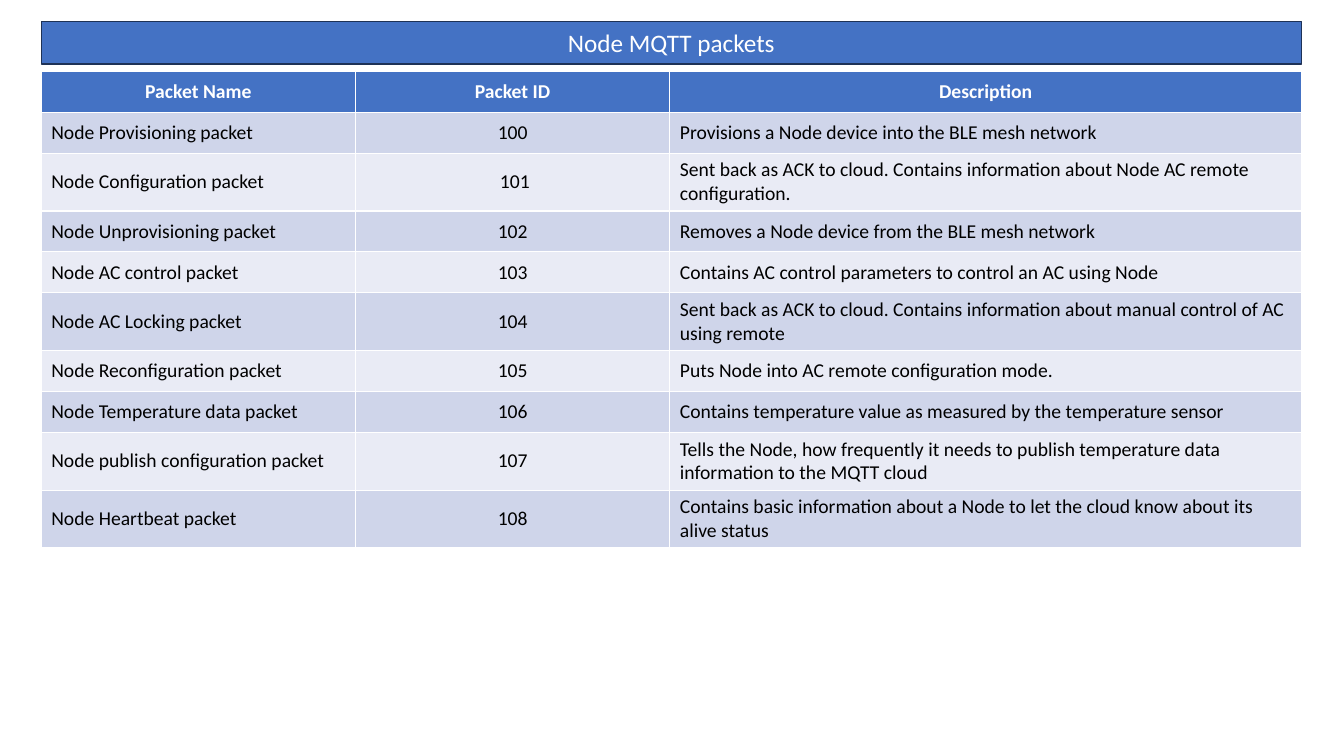
"""Build a slide with a table of the Node MQTT packets."""
from pptx import Presentation
from pptx.dml.color import RGBColor
from pptx.enum.text import MSO_ANCHOR as Anchor, MSO_AUTO_SIZE as AutoSize, PP_ALIGN as Align
from pptx.util import Cm, Pt

BLUE = RGBColor(0x44, 0x72, 0xC4)
NAVY = RGBColor(0x1E, 0x32, 0x56)
BAND_DARK = RGBColor(0xCF, 0xD5, 0xEA)
BAND_LIGHT = RGBColor(0xE9, 0xEB, 0xF5)
WHITE = RGBColor(0xFF, 0xFF, 0xFF)
BLACK = RGBColor(0x00, 0x00, 0x00)

LEFT, WIDTH = Cm(1.04), Cm(31.76)
ROW_HEIGHT = Cm(1.03)
COLUMN_WIDTHS = [Cm(7.92), Cm(7.92), Cm(15.92)]
ROWS = [
    ("Packet Name", "Packet ID", "Description"),
    ("Node Provisioning packet", "100", "Provisions a Node device into the BLE mesh network"),
    ("Node Configuration packet", " 101",
     "Sent back as ACK to cloud. Contains information about Node AC remote configuration."),
    ("Node Unprovisioning packet", "102", "Removes a Node device from the BLE mesh network"),
    ("Node AC control packet", "103", "Contains AC control parameters to control an AC using Node"),
    ("Node AC Locking packet", "104",
     "Sent back as ACK to cloud. Contains information about manual control of AC using remote"),
    ("Node Reconfiguration packet", "105", "Puts Node into AC remote configuration mode."),
    ("Node Temperature data packet", "106",
     "Contains temperature value as measured by the temperature sensor"),
    ("Node publish configuration packet", "107",
     "Tells the Node, how frequently it needs to publish temperature data information to the MQTT cloud"),
    ("Node Heartbeat packet", "108",
     "Contains basic information about a Node to let the cloud know about its alive status"),
]


def write(text_frame, text, size, color, align, bold=False):
    text_frame.text = text
    paragraph = text_frame.paragraphs[0]
    paragraph.alignment = align
    font = paragraph.runs[0].font
    font.name, font.size, font.bold = "Calibri", Pt(size), bold
    font.color.rgb = color


presentation = Presentation()
presentation.slide_width, presentation.slide_height = Cm(33.87), Cm(19.05)
slide = presentation.slides.add_slide(presentation.slide_layouts[5])

title = slide.shapes.title
title.left, title.top, title.width, title.height = LEFT, Cm(0.54), WIDTH, Cm(1.07)
title.fill.solid()
title.fill.fore_color.rgb = BLUE
title.line.color.rgb = NAVY
title.line.width = Pt(1)
title.text_frame.auto_size = AutoSize.NONE
title.text_frame.vertical_anchor = Anchor.MIDDLE
write(title.text_frame, "Node MQTT packets", 18, WHITE, Align.CENTER)

table = slide.shapes.add_table(
    len(ROWS), len(COLUMN_WIDTHS), LEFT, Cm(1.8), WIDTH, ROW_HEIGHT * len(ROWS)).table
for column, width in zip(table.columns, COLUMN_WIDTHS):
    column.width = width

for row_index, row in enumerate(ROWS):
    table.rows[row_index].height = ROW_HEIGHT
    is_header = row_index == 0
    band = BAND_DARK if row_index % 2 else BAND_LIGHT
    for column_index, text in enumerate(row):
        cell = table.cell(row_index, column_index)
        cell.vertical_anchor = Anchor.MIDDLE
        cell.fill.solid()
        cell.fill.fore_color.rgb = BLUE if is_header else band
        align = Align.CENTER if is_header or column_index == 1 else Align.LEFT
        write(cell.text_frame, text, 14, WHITE if is_header else BLACK, align, is_header)

presentation.save("out.pptx")
